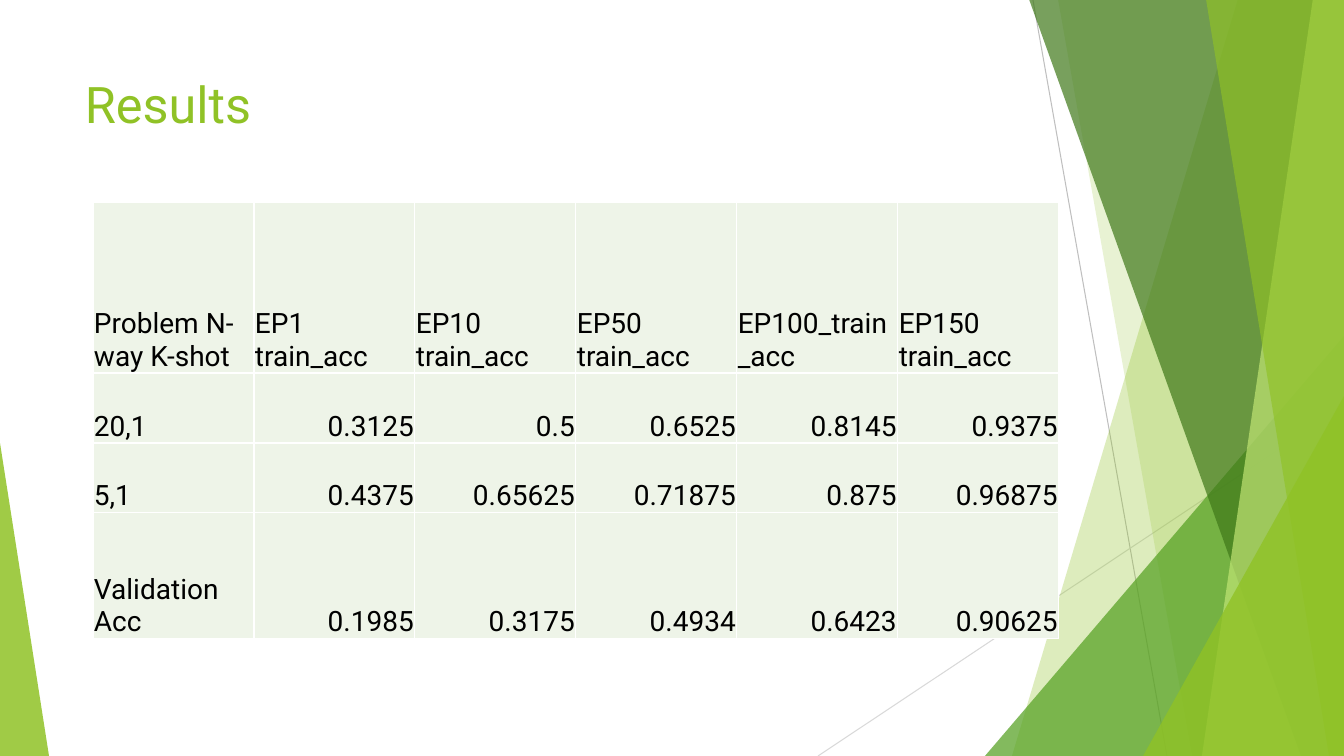
from lxml import etree
from pptx import Presentation
from pptx import util as u
from pptx.dml.color import RGBColor
from pptx.enum import shapes, text
from pptx.oxml.ns import qn

SCALE = 914400 / 100.8
WIDTH, HEIGHT = 1344, 756
FONT = "Roboto"
COLORS = {
    "lime": "90C226", "green": "54A021", "forest": "3F7819", "pale": "C0E474",
    "gray": "BFBFBF", "silver": "D9D9D9", "cell": "EEF4E8",
    "white": "FFFFFF", "black": "000000",
}

TITLE = "Results"
TITLE_BOX = (75, 68, 948, 145)
RESULTS = [
    ["Problem N-way K-shot", "EP1 train_acc", "EP10 train_acc",
     "EP50 train_acc", "EP100_train_acc", "EP150 train_acc"],
    ["20,1", "0.3125", "0.5", "0.6525", "0.8145", "0.9375"],
    ["5,1", "0.4375", "0.65625", "0.71875", "0.875", "0.96875"],
    ["Validation Acc", "0.1985", "0.3175", "0.4934", "0.6423", "0.90625"],
]
TABLE_LEFT, TABLE_TOP = 93, 202
COLUMN_WIDTH = 161
ROW_HEIGHTS = [171, 70, 70, 126]

RAYS = [
    ((1033, 0), (1167, HEIGHT), "gray"),
    ((WIDTH, 406), (818, HEIGHT), "silver"),
]
FACETS = [
    ("band", (1238, 1012), "lime", 30),
    ("band", (1058, 1192), "lime", 20),
    ("triangle", (985, 336, 359, 420, 1), "green", 72),
    ("band", (1029, 1301), "forest", 70),
    ("band", (1313, 1202), "pale", 70),
    ("band", (1206, 1329), "lime", 65),
    ("triangle", (1143, 396, 201, 360, 1), "lime", 80),
    ("triangle", (0, 443, 49, 313, 0), "lime", 85),
]


def emu(*pixels):
    return [round(pixel * SCALE) for pixel in pixels]


def rgb(name):
    return RGBColor.from_string(COLORS[name])


def set_attributes(target, values):
    for name, value in values.items():
        setattr(target, name, value)


def write(frame, content, size, color, align):
    paragraph = frame.paragraphs[0]
    paragraph.alignment = align
    run = paragraph.add_run()
    run.text = content
    set_attributes(run.font, {"name": FONT, "size": u.Pt(size)})
    run.font.color.rgb = rgb(color)


def add_ray(slide, start, end, color):
    line = slide.shapes.add_connector(
        shapes.MSO_CONNECTOR.STRAIGHT, *emu(*start, *end))
    line.line.width = u.Pt(0.75)
    line.line.color.rgb = rgb(color)
    etree.SubElement(line._element.spPr, qn("a:effectLst"))


def add_facet(slide, kind, geometry, color, opacity):
    if kind == "band":
        top_x, bottom_x = geometry
        builder = slide.shapes.build_freeform(top_x, -1, SCALE)
        builder.add_line_segments(
            [(WIDTH, -1), (WIDTH, HEIGHT), (bottom_x, HEIGHT)], close=True)
        shape = builder.convert_to_shape()
    else:
        *box, apex = geometry
        shape = slide.shapes.add_shape(
            shapes.MSO_SHAPE.ISOSCELES_TRIANGLE, *emu(*box))
        shape.adjustments[0] = apex
    shape.shadow.inherit = False
    shape.line.fill.background()
    shape.fill.solid()
    shape.fill.fore_color.rgb = rgb(color)
    fill_color = shape._element.spPr.find(f"{qn('a:solidFill')}/{qn('a:srgbClr')}")
    etree.SubElement(fill_color, qn("a:alpha"), val=str(opacity * 1000))


def add_borders(cell):
    properties = cell._tc.get_or_add_tcPr()
    for index, side in enumerate(("lnL", "lnR", "lnT", "lnB")):
        border = etree.Element(qn(f"a:{side}"), w=str(u.Pt(1)))
        fill = etree.SubElement(border, qn("a:solidFill"))
        etree.SubElement(fill, qn("a:srgbClr"), val=COLORS["white"])
        properties.insert(index, border)


def add_results(slide):
    column_count = len(RESULTS[0])
    table = slide.shapes.add_table(
        len(RESULTS), column_count,
        *emu(TABLE_LEFT, TABLE_TOP, COLUMN_WIDTH * column_count, sum(ROW_HEIGHTS)),
    ).table
    set_attributes(table, {"first_row": False, "horz_banding": False})
    for column in table.columns:
        column.width = emu(COLUMN_WIDTH)[0]
    inset = emu(1)[0]
    cell_format = {
        "margin_left": inset, "margin_right": inset, "margin_top": inset,
        "margin_bottom": 0, "vertical_anchor": text.MSO_ANCHOR.BOTTOM,
    }
    for row_index, (row, height) in enumerate(zip(RESULTS, ROW_HEIGHTS)):
        table.rows[row_index].height = emu(height)[0]
        for column_index, content in enumerate(row):
            cell = table.cell(row_index, column_index)
            set_attributes(cell, cell_format)
            cell.fill.solid()
            cell.fill.fore_color.rgb = rgb("cell")
            add_borders(cell)
            is_value = row_index and column_index
            align = text.PP_ALIGN.RIGHT if is_value else text.PP_ALIGN.LEFT
            write(cell.text_frame, content, 20, "black", align)


presentation = Presentation()
set_attributes(presentation, dict(zip(("slide_width", "slide_height"), emu(WIDTH, HEIGHT))))
slide = presentation.slides.add_slide(presentation.slide_layouts[6])
for ray in RAYS:
    add_ray(slide, *ray)
for facet in FACETS:
    add_facet(slide, *facet)
title = slide.shapes.add_textbox(*emu(*TITLE_BOX)).text_frame
set_attributes(title, {"word_wrap": True, "vertical_anchor": text.MSO_ANCHOR.TOP})
write(title, TITLE, 36, "lime", text.PP_ALIGN.LEFT)
add_results(slide)
presentation.save("out.pptx")
